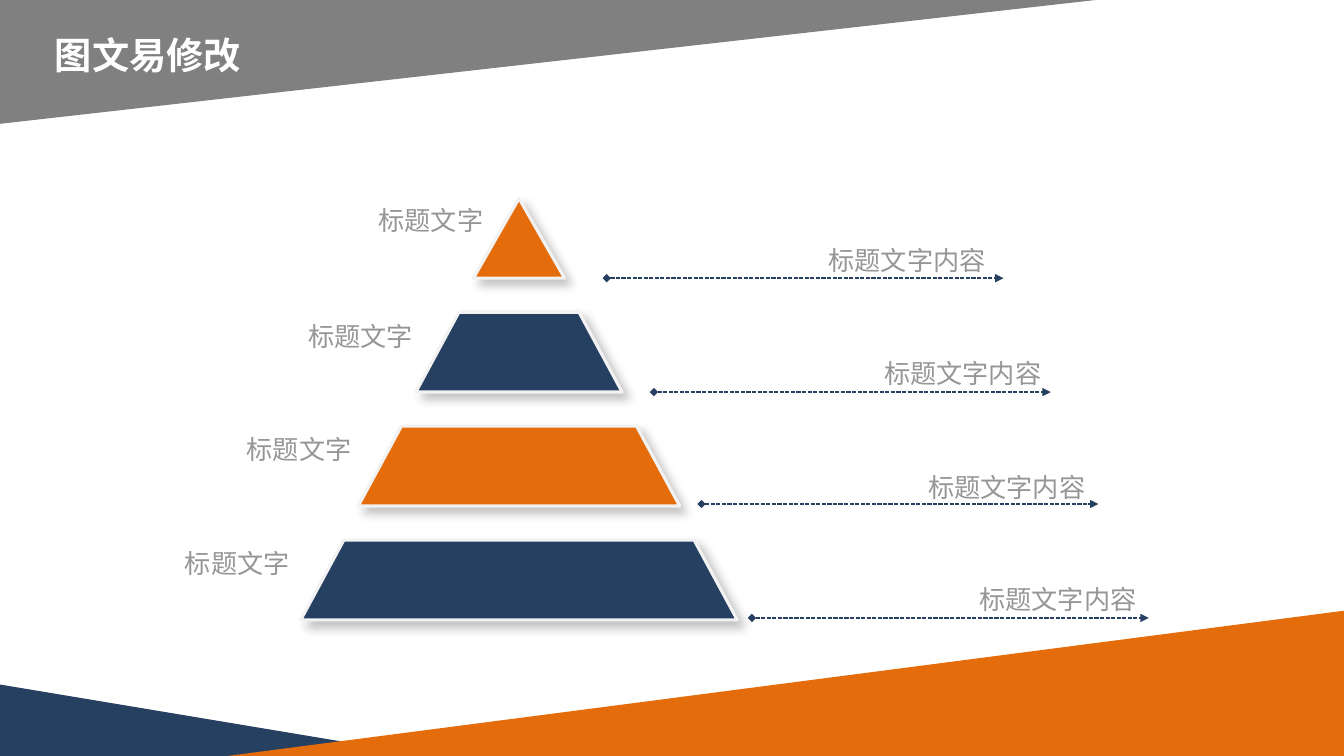
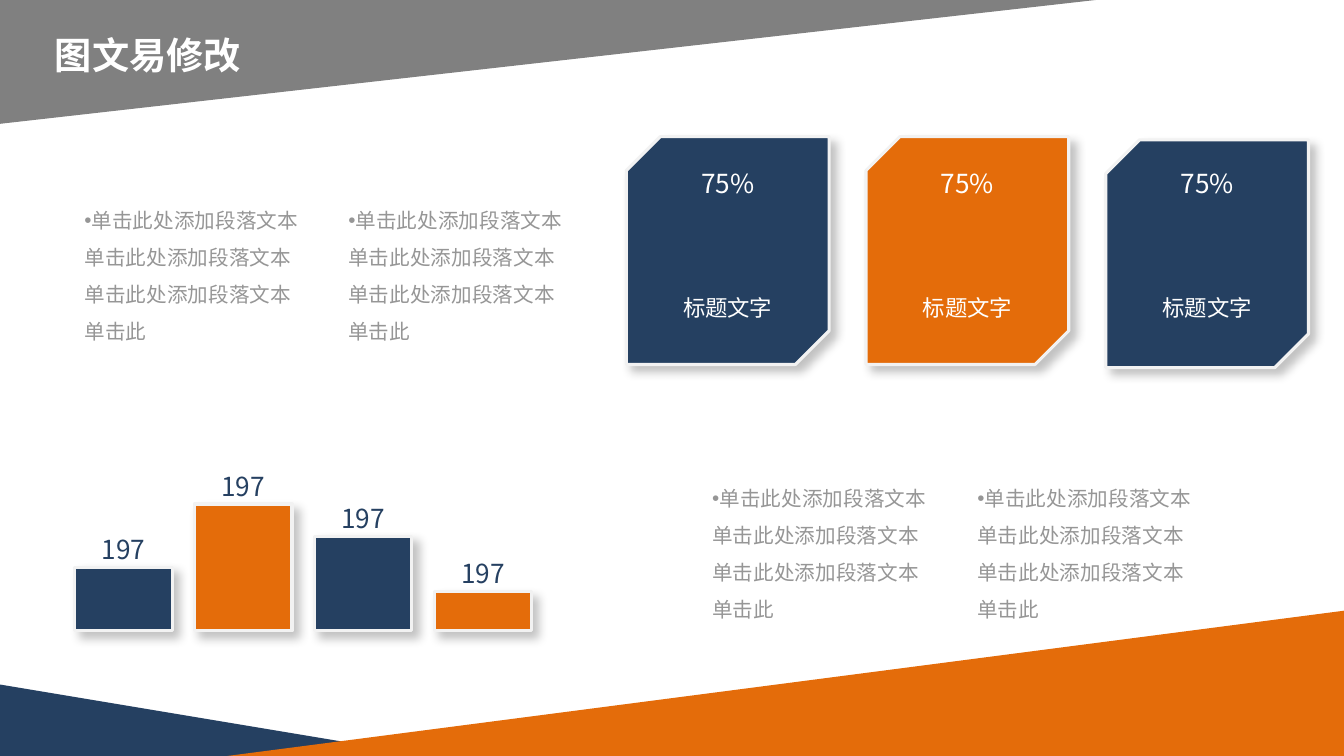
from lxml.etree import SubElement
from pptx import Presentation
from pptx.dml.color import RGBColor
from pptx.enum.dml import MSO_LINE
from pptx.enum.shapes import MSO_CONNECTOR, MSO_SHAPE
from pptx.enum.text import MSO_ANCHOR, MSO_AUTO_SIZE, PP_ALIGN
from pptx.oxml.ns import qn
from pptx.util import Cm, Pt

NAVY = RGBColor(0x25, 0x40, 0x61)
ORANGE = RGBColor(0xE4, 0x6C, 0x0A)
BAND_GRAY = RGBColor(0x80, 0x80, 0x80)
TEXT_GRAY = RGBColor(0x96, 0x96, 0x96)
OUTLINE = RGBColor(0xF2, 0xF2, 0xF2)
WHITE = RGBColor(0xFF, 0xFF, 0xFF)
FONT = "Noto Sans CJK SC"
LABEL_FONT = "Roboto Condensed"


def add_text(slide, text, left, top, width, height, size=18.7, color=TEXT_GRAY,
             font=FONT, bold=False, align=PP_ALIGN.CENTER, line_height=1.28,
             bullet=None, margin=None):
    frame = slide.shapes.add_textbox(Cm(left), Cm(top), Cm(width), Cm(height)).text_frame
    frame.word_wrap = True
    frame.auto_size = MSO_AUTO_SIZE.SHAPE_TO_FIT_TEXT
    frame.vertical_anchor = MSO_ANCHOR.TOP
    if margin is not None:
        frame.margin_left = frame.margin_right = Cm(margin)
        frame.margin_top = frame.margin_bottom = Cm(margin)
    paragraph = frame.paragraphs[0]
    paragraph.alignment = align
    paragraph.line_spacing = Pt(round(size * line_height, 1))
    if bullet:
        properties = paragraph._p.get_or_add_pPr()
        properties.set("marL", "0")
        properties.set("indent", "0")
        SubElement(properties, qn("a:buFont"), typeface="Arial")
        SubElement(properties, qn("a:buChar"), char=bullet)
    run = paragraph.add_run()
    run.text = text
    run.font.size = Pt(size)
    run.font.bold = bold
    run.font.name = font
    run.font.color.rgb = color
    SubElement(run.font._element, qn("a:ea"), typeface=FONT)


def add_panel(slide, kind, left, top, width, height, color, raised=True):
    shape = slide.shapes.add_shape(kind, Cm(left), Cm(top), Cm(width), Cm(height))
    shape.shadow.inherit = False
    shape.fill.solid()
    shape.fill.fore_color.rgb = color
    if not raised:
        shape.line.fill.background()
        return shape
    shape.line.color.rgb = OUTLINE
    shape.line.width = Pt(2.25)
    effects = shape.element.spPr.find(qn("a:effectLst"))
    shadow = SubElement(effects, qn("a:outerShdw"), blurRad=str(Pt(7)), dist=str(Pt(5.9)),
                        dir="2700000", algn="tl", rotWithShape="0")
    shadow_color = SubElement(shadow, qn("a:srgbClr"), val="000000")
    SubElement(shadow_color, qn("a:alpha"), val="23000")
    return shape


presentation = Presentation()
presentation.slide_width = Cm(33.87)
presentation.slide_height = Cm(19.05)
blank_layout = presentation.slide_layouts[6]
pyramid_slide, data_slide = [presentation.slides.add_slide(blank_layout) for _ in range(2)]

# Shared corner bands, kept on the slide master
bands = [
    (0, 17.25, 10.8, 1.8, NAVY, False, 0),
    (5.73, 15.39, 28.14, 3.66, ORANGE, True, 0),
    (0, 0, 27.61, 3.12, BAND_GRAY, True, 180),
]
for number, (left, top, width, height, color, flipped, rotation) in enumerate(bands):
    band = add_panel(pyramid_slide, MSO_SHAPE.RIGHT_TRIANGLE, left, top, width, height,
                     color, raised=False)
    band.rotation = rotation
    if flipped:
        band.element.spPr.xfrm.set("flipH", "1")
    band.element.nvSpPr.cNvPr.set("id", str(101 + number))
    presentation.slide_master.shapes.element.append(band.element)

# Shared title
for slide in presentation.slides:
    add_text(slide, "图文易修改", 0, 0.74, 7.47, 1.14, size=26.6, color=WHITE,
             bold=True, margin=0)

# Pyramid: title centre and top, arrow start and height, content centre and top
levels = [
    (10.86, 4.98, 15.29, 7.01, 22.86, 5.99),
    (9.09, 7.9, 16.48, 9.88, 24.26, 8.84),
    (7.54, 10.74, 17.68, 12.7, 25.37, 11.71),
    (5.98, 13.61, 18.95, 15.57, 26.66, 14.53),
]
for index, level in enumerate(levels):
    title_center, title_top, arrow_left, arrow_top, content_center, content_top = level
    width = 2.3 + 2.9 * index
    kind = MSO_SHAPE.TRAPEZOID if index else MSO_SHAPE.ISOSCELES_TRIANGLE
    layer = add_panel(pyramid_slide, kind, 13.08 - width / 2, 5 + 2.87 * index, width, 2.01,
                      NAVY if index % 2 else ORANGE)
    if index:
        layer.adjustments[0] = 0.54

    arrow = pyramid_slide.shapes.add_connector(
        MSO_CONNECTOR.STRAIGHT, Cm(arrow_left), Cm(arrow_top), Cm(arrow_left + 10), Cm(arrow_top))
    arrow.line.color.rgb = NAVY
    arrow.line.width = Pt(1)
    arrow.line.dash_style = MSO_LINE.SQUARE_DOT
    line_properties = arrow.line._get_or_add_ln()
    SubElement(line_properties, qn("a:headEnd"), type="diamond")
    SubElement(line_properties, qn("a:tailEnd"), type="triangle")
    SubElement(arrow._element.spPr, qn("a:effectLst"))

    add_text(pyramid_slide, "标题文字内容", content_center - 2.5, content_top, 5, 1.07,
             font=LABEL_FONT)
    add_text(pyramid_slide, "标题文字", title_center - 1.85, title_top, 3.7, 1.07,
             font=LABEL_FONT)

# Percentage cards
for index, (top, color) in enumerate([(3.76, NAVY), (3.76, ORANGE), (3.84, NAVY)]):
    offset = 6.04 * index
    card = add_panel(data_slide, MSO_SHAPE.SNIP_2_DIAG_RECTANGLE, 15.47 + offset, top,
                     5.74, 5.11, color)
    card.rotation = 90
    add_text(data_slide, "75%", 16.54 + offset, 4.04, 3.6, 1.07, color=WHITE)
    add_text(data_slide, "标题文字", 16.54 + offset, 7.24, 3.6, 0.94, size=16, color=WHITE)

# Bars standing on one baseline, each with its number above
for index, height in enumerate([1.6, 3.2, 2.39, 0.99]):
    left, top = 1.88 + 3.02 * index, 15.9 - height
    add_panel(data_slide, MSO_SHAPE.RECTANGLE, left, top, 2.46, height,
              ORANGE if index % 2 else NAVY)
    add_text(data_slide, "197", left, top - 1.03, 2.46, 1.07, color=NAVY)

# Bulleted paragraphs
for left, top in [(1.88, 4.8), (8.53, 4.8), (17.7, 11.81), (24.38, 11.81)]:
    add_text(data_slide, "单击此处添加段落文本" * 3 + "单击此", left, top, 6.15, 4.01,
             size=14.7, align=PP_ALIGN.LEFT, line_height=1.8, bullet="•")

presentation.save("out.pptx")
